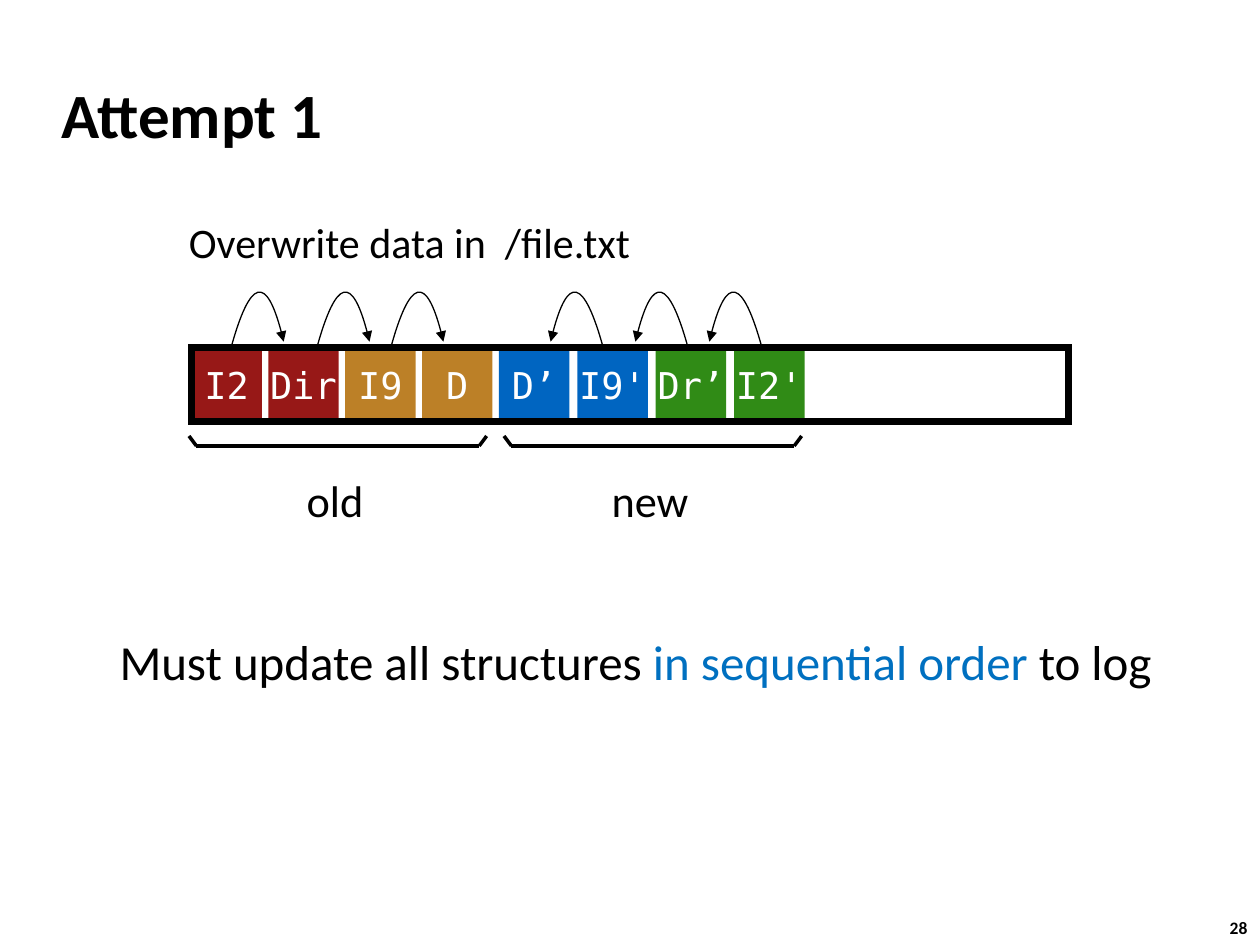
import pptx
import pptx.util
import pptx.dml.color
import pptx.enum.shapes
import pptx.enum.text
import lxml.etree

Cm = pptx.util.Cm
Pt = pptx.util.Pt
ANCHOR = pptx.enum.text.MSO_ANCHOR
ALIGN = pptx.enum.text.PP_ALIGN
RECT = pptx.enum.shapes.MSO_SHAPE.RECTANGLE
STRAIGHT = pptx.enum.shapes.MSO_CONNECTOR.STRAIGHT
NS = "{http://schemas.openxmlformats.org/drawingml/2006/main}"
BLACK = "000000"
OLD = [("I2", "971817"), ("Dir", "971817"), ("I9", "BC8027"), ("D", "BC8027")]
NEW = [("D’", "0065C1"), ("I9'", "0065C1"), ("Dr’", "308B16"), ("I2'", "308B16")]
ROW_LEFT, ROW_TOP, ROW_HIGH = 3.86, 7.0, 1.5


def color(code):
    return pptx.dml.color.RGBColor.from_string(code)


def style(font, size, code=BLACK, name="Calibri", bold=False):
    font.size = Pt(size)
    font.name = name
    font.bold = bold
    font.color.rgb = color(code)


def stroke(line, width):
    line.color.rgb = color(BLACK)
    line.width = Pt(width)


def add_text(shapes, box, runs, size, bold=False, wrap=False,
             inset=(0.25, 0.13), anchor=ANCHOR.TOP):
    frame = shapes.add_textbox(*map(Cm, box)).text_frame
    frame.word_wrap = wrap
    frame.vertical_anchor = anchor
    frame.margin_left = frame.margin_right = Cm(inset[0])
    frame.margin_top = frame.margin_bottom = Cm(inset[1])
    para = frame.paragraphs[0]
    style(para.font, size, bold=bold)
    for text, code in runs:
        run = para.add_run()
        run.text = text
        if code != BLACK:
            run.font.color.rgb = color(code)


def add_block(shapes, left, text, fill):
    block = shapes.add_shape(RECT, Cm(left), Cm(ROW_TOP), Cm(1.42), Cm(ROW_HIGH))
    block.shadow.inherit = False
    block.fill.solid()
    block.fill.fore_color.rgb = color(fill)
    block.line.fill.background()
    frame = block.text_frame
    frame.word_wrap = True
    frame.vertical_anchor = ANCHOR.MIDDLE
    frame.margin_left = frame.margin_right = 0
    frame.margin_top = frame.margin_bottom = 0
    para = frame.paragraphs[0]
    para.text = text
    para.alignment = ALIGN.CENTER
    style(para.font, 21.1, "FFFFFF", "DejaVu Sans Mono")


def add_frame(shapes):
    frame = shapes.add_shape(RECT, Cm(ROW_LEFT), Cm(ROW_TOP), Cm(17.68), Cm(ROW_HIGH))
    frame.shadow.inherit = False
    frame.fill.background()
    stroke(frame.line, 4)
    line = frame.element.spPr.find(NS + "ln")
    lxml.etree.SubElement(line, NS + "miter", lim="800000")


def add_arc(shapes, start, way):
    base, peak, tip, span = 7.04, 5.91, 6.89, 1.07
    pen = shapes.build_freeform(Cm(start), Cm(base))
    pen.add_line_segments([(Cm(start + way * span / 2), Cm(peak)),
                           (Cm(start + way * span), Cm(tip))], close=False)
    arc = pen.convert_to_shape()
    arc.shadow.inherit = False
    arc.fill.background()
    stroke(arc.line, 0.75)
    props = arc.element.spPr
    lxml.etree.SubElement(props.find(NS + "ln"), NS + "tailEnd", type="triangle")
    track = props.find(f".//{NS}path")
    for part in track.findall(NS + "lnTo"):
        track.remove(part)
    curve = lxml.etree.SubElement(track, NS + "cubicBezTo")
    left = min(start, start + way * span)
    for step, high in ((0.4, 5.58), (0.76, 5.55), (span, tip)):
        lxml.etree.SubElement(curve, NS + "pt",
                              x=str(int(Cm(start + way * step - left))),
                              y=str(int(Cm(high - peak))))


def add_line(shapes, *ends):
    line = shapes.add_connector(STRAIGHT, *map(Cm, ends))
    stroke(line.line, 2)
    lxml.etree.SubElement(line.element.spPr, NS + "effectLst")


def add_brace(shapes, left, text, shift, width):
    group = shapes.add_group_shape().shapes
    right = left + 6
    top, base, slant = 8.79, 8.99, 0.15
    add_line(group, left + slant, base, right - slant, base)
    add_line(group, left + slant, base, left, top)
    add_line(group, right - slant, base, right, top)
    add_text(group, (left + shift, 9.44, width, 1.27), [(text, BLACK)], 25.3,
             inset=(0.1, 0.1), anchor=ANCHOR.MIDDLE)


def main():
    deck = pptx.Presentation()
    deck.slide_width, deck.slide_height = Cm(25.4), Cm(19.05)
    shapes = deck.slides.add_slide(deck.slide_layouts[6]).shapes
    add_text(shapes, (24.54, 18.36, 0.94, 0.69), [("28", BLACK)], 10, bold=True)
    for left, step, blocks in ((ROW_LEFT, 1.55, OLD), (10.06, 1.58, NEW)):
        for i, (text, fill) in enumerate(blocks):
            add_block(shapes, left + step * i, text, fill)
    add_text(shapes, (0.99, 1.24, 21.08, 2.11), [("Attempt 1", BLACK)], 36,
             bold=True, wrap=True, anchor=ANCHOR.MIDDLE)
    add_frame(shapes)
    for way, starts in ((1, (4.65, 6.38, 7.87)), (-1, (12.17, 13.88, 15.37))):
        for start in starts:
            add_arc(shapes, start, way)
    add_brace(shapes, 3.81, "old", 2.27, 1.35)
    add_brace(shapes, 10.16, "new", 2.07, 1.75)
    add_text(shapes, (2.16, 12.6, 21.56, 1.45),
             [("Must update all structures ", BLACK),
              ("in sequential order ", "0070C0"), ("to log", BLACK)], 28)
    add_text(shapes, (3.56, 4.24, 18.44, 1.27),
             [("Overwrite data in  /file.txt", BLACK)], 24, wrap=True)
    deck.save("out.pptx")


if __name__ == "__main__":
    main()
